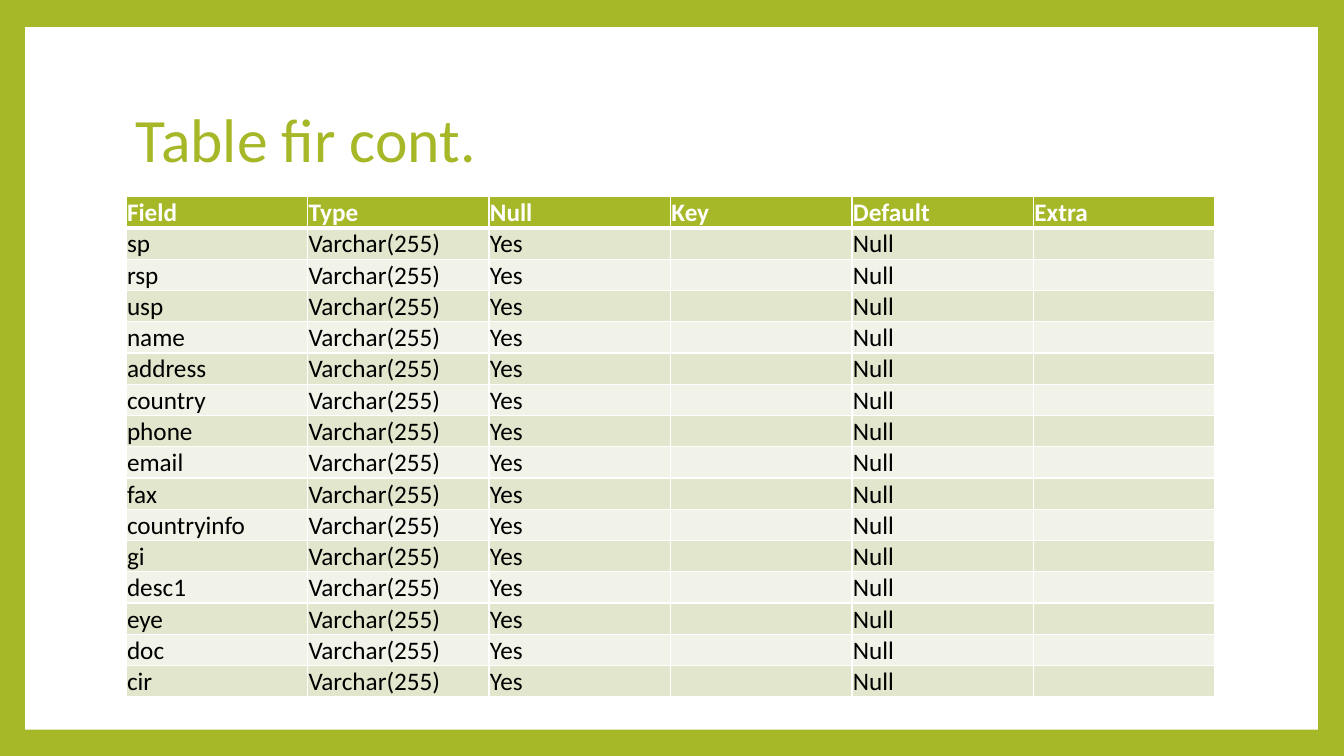
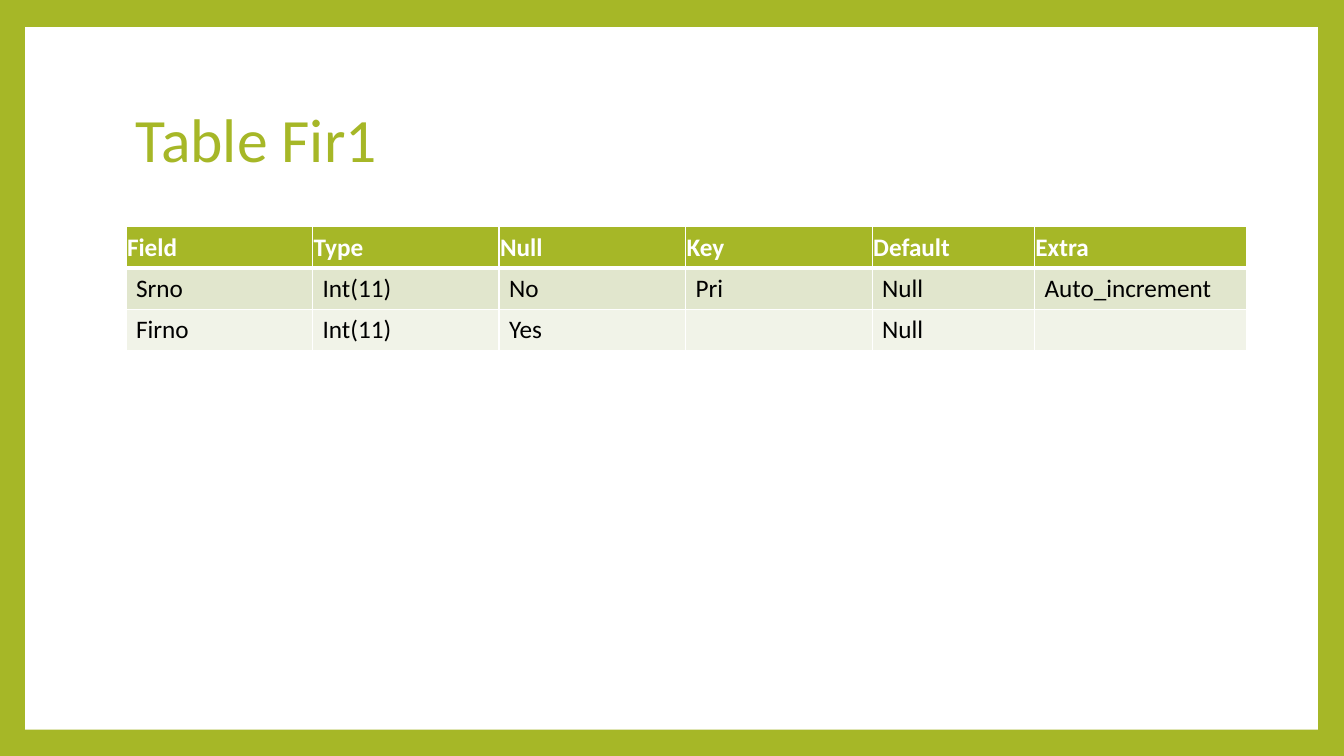
from dataclasses import dataclass

from lxml.etree import SubElement
from pptx import Presentation
from pptx.dml.color import RGBColor
from pptx.enum.shapes import MSO_SHAPE
from pptx.enum.text import MSO_ANCHOR
from pptx.oxml.ns import qn
from pptx.slide import Slide
from pptx.table import _Cell as Cell
from pptx.text.text import TextFrame
from pptx.util import Inches, Pt

# Shared style
GREEN = RGBColor(0xA6, 0xB7, 0x27)
WHITE = RGBColor(0xFF, 0xFF, 0xFF)
BLACK = RGBColor(0x00, 0x00, 0x00)
BANDS = (RGBColor(0xE1, 0xE6, 0xCD), RGBColor(0xF1, 0xF3, 0xE8))
FONT = "Calibri"
LEFT = 1.25
HEADER = ("Field", "Type", "Null", "Key", "Default", "Extra")


@dataclass(frozen=True)
class TableSlide:
    title: str
    top: float
    col_widths: tuple[float, ...]
    row_height: float
    rows: list[tuple[str, ...]]
    tight_body: bool


def add_run(tf: TextFrame, text: str, size: int, color: RGBColor,
            bold: bool = False) -> None:
    r = tf.paragraphs[0].add_run()
    r.text = text
    r.font.name, r.font.size, r.font.bold = FONT, Pt(size), bold
    r.font.color.rgb = color


def add_frame(slide: Slide) -> None:
    """White panel on a green background."""
    bg = slide.background.fill
    bg.solid()
    bg.fore_color.rgb = GREEN
    sp = slide.shapes.add_shape(MSO_SHAPE.RECTANGLE, Inches(0.25), Inches(0.27),
                                Inches(12.82), Inches(6.97))
    sp.shadow.inherit = False
    sp.fill.solid()
    sp.fill.fore_color.rgb = WHITE
    sp.line.fill.background()


def add_title(slide: Slide, text: str) -> None:
    sp = slide.shapes.add_textbox(Inches(LEFT), Inches(0.67),
                                  Inches(10.8), Inches(1.48))
    tf = sp.text_frame
    tf.word_wrap = True
    tf.vertical_anchor = MSO_ANCHOR.MIDDLE
    tf.paragraphs[0].line_spacing = 0.9
    add_run(tf, text, 44, GREEN)


def set_borders(cell: Cell, top: int, bottom: int) -> None:
    tc_pr = cell._tc.get_or_add_tcPr()
    for side, width in (("L", 1), ("R", 1), ("T", top), ("B", bottom)):
        ln = SubElement(tc_pr, qn(f"a:ln{side}"), w=str(Pt(width)))
        fill = SubElement(ln, qn("a:solidFill"))
        SubElement(fill, qn("a:srgbClr"), val=str(WHITE))


def fill_cell(cell: Cell, text: str, row: int, tight: bool) -> None:
    is_header = row == 0
    # Borders come before the fill in the cell properties
    set_borders(cell, top=3 if row == 1 else 1, bottom=3 if is_header else 1)
    cell.fill.solid()
    cell.fill.fore_color.rgb = GREEN if is_header else BANDS[(row - 1) % 2]
    if tight:
        cell.margin_left = cell.margin_right = cell.margin_top = Inches(0.01)
        cell.margin_bottom = 0
        cell.vertical_anchor = MSO_ANCHOR.MIDDLE
    if text:
        add_run(cell.text_frame, text, 18, WHITE if is_header else BLACK, is_header)


def add_field_table(slide: Slide, data: TableSlide) -> None:
    rows = [HEADER, *data.rows]
    table = slide.shapes.add_table(
        len(rows), len(HEADER), Inches(LEFT), Inches(data.top),
        Inches(sum(data.col_widths)), Inches(data.row_height * len(rows))).table
    table.horz_banding = False
    for column, width in zip(table.columns, data.col_widths):
        column.width = Inches(width)
    for i, row in enumerate(rows):
        table.rows[i].height = Inches(data.row_height)
        for j, text in enumerate(row):
            fill_cell(table.cell(i, j), text, i, data.tight_body or i == 0)


# Content
FIR_FIELDS = ("sp", "rsp", "usp", "name", "address", "country", "phone", "email",
              "fax", "countryinfo", "gi", "desc1", "eye", "doc", "cir")
SLIDES = (
    TableSlide("Table fir cont.", 1.95, (1.8,) * 6, 0.29,
               [(field, "Varchar(255)", "Yes", "", "Null", "")
                for field in FIR_FIELDS], tight_body=True),
    TableSlide("Table Fir1", 2.25, (1.85,) * 4 + (1.61, 2.1), 0.41,
               [("Srno", "Int(11)", "No", "Pri", "Null", "Auto_increment"),
                ("Firno", "Int(11)", "Yes", "", "Null", "")], tight_body=False),
)

# Build
prs = Presentation()
prs.slide_width, prs.slide_height = Inches(13.33), Inches(7.5)
for data in SLIDES:
    slide = prs.slides.add_slide(prs.slide_layouts[6])
    add_frame(slide)
    add_title(slide, data.title)
    add_field_table(slide, data)
prs.save("out.pptx")
